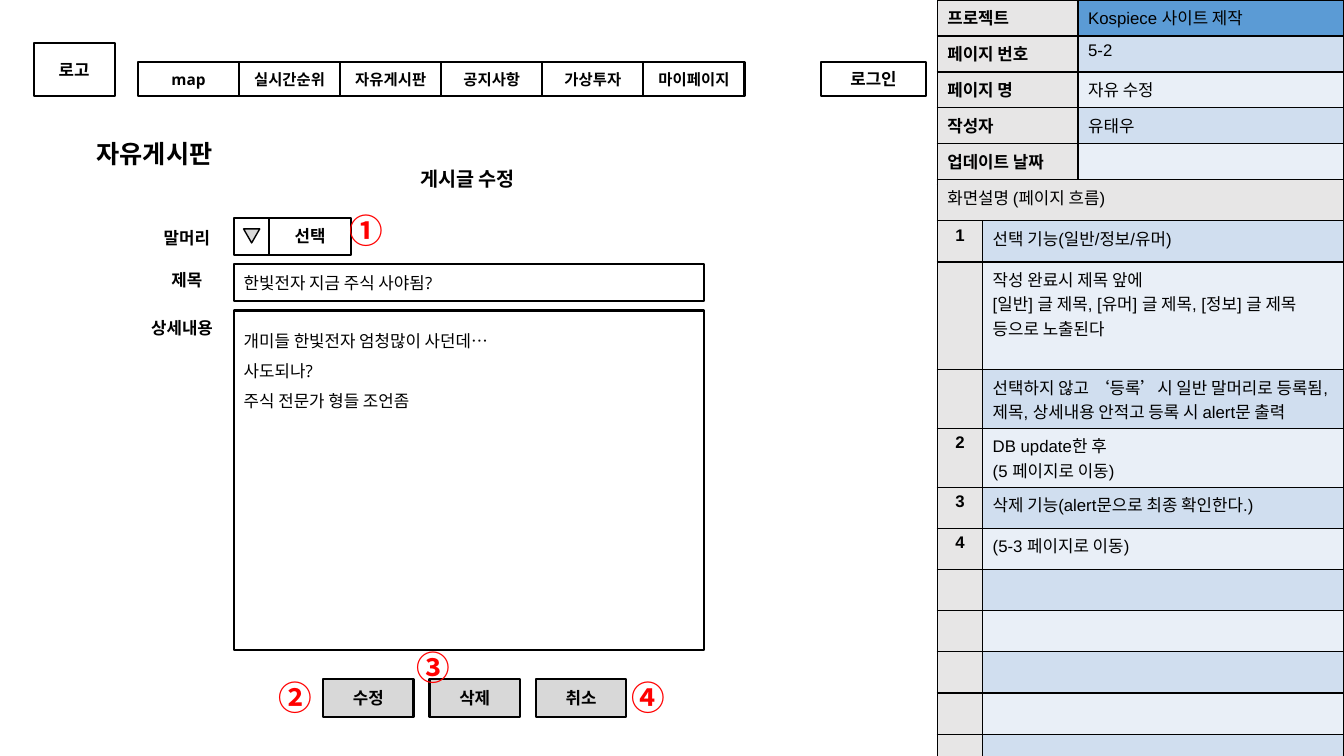
from lxml import etree
from pptx import Presentation
from pptx.dml.color import RGBColor
from pptx.enum import shapes, text
from pptx.oxml import ns
from pptx.util import Pt

BLACK = RGBColor(0, 0, 0)
RED = RGBColor(0xFF, 0, 0)
GRAY = RGBColor(0xD8, 0xD8, 0xD8)
HEAD = RGBColor(0xE7, 0xE6, 0xE6)
BLUE = RGBColor(0x5B, 0x9B, 0xD5)
PALE = RGBColor(0xE9, 0xEF, 0xF7)
MIST = RGBColor(0xD0, 0xDE, 0xEF)

SANS = "Open Sans"
HANGUL = "Noto Sans CJK KR"
LEFT, MID = text.PP_ALIGN.LEFT, text.PP_ALIGN.CENTER
RECT = shapes.MSO_SHAPE.RECTANGLE

FACTS = [
    ("프로젝트", "Kospiece 사이트 제작"),
    ("페이지 번호", "5-2"),
    ("페이지 명", "자유 수정"),
    ("작성자", "유태우"),
    ("업데이트 날짜", ""),
]
NOTES = [
    ("1", "선택 기능(일반/정보/유머)"),
    ("", "작성 완료시 제목 앞에\n[일반] 글 제목, [유머] 글 제목, [정보] 글 제목\n등으로 노출된다"),
    ("", "선택하지 않고 ‘등록’시 일반 말머리로 등록됨,\n제목, 상세내용 안적고 등록 시 alert문 출력"),
    ("2", "DB update한 후\n(5 페이지로 이동)"),
    ("3", "삭제 기능(alert문으로 최종 확인한다.)"),
    ("4", "(5-3 페이지로 이동)"),
] + [("", "")] * 5
MENU = ["map", "실시간순위", "자유게시판", "공지사항", "가상투자", "마이페이지"]


def write(frame, words, size=12, bold=False, align=LEFT, face=SANS,
          color=BLACK, space=None):
    """Put each line of words in its own paragraph."""
    for i, line in enumerate(words.split("\n")):
        par = frame.add_paragraph() if i else frame.paragraphs[0]
        par.alignment = align
        if space:
            par.line_spacing = space
        if not line:
            continue
        run = par.add_run()
        run.text = line
        font = run.font
        font.size, font.bold, font.name = Pt(size), bold, face
        font.color.rgb = color
        east = etree.SubElement(run._r.get_or_add_rPr(), ns.qn("a:ea"))
        east.set("typeface", HANGUL)


def pad(frame, anchor=text.MSO_ANCHOR.MIDDLE, side=7.2, top=7.2):
    frame.word_wrap = True
    frame.auto_size = text.MSO_AUTO_SIZE.NONE
    frame.vertical_anchor = anchor
    frame.margin_left = frame.margin_right = Pt(side)
    frame.margin_top = frame.margin_bottom = Pt(top)


def draw(slide, kind, x, y, w, h, fill=None, line=1.5):
    shape = slide.shapes.add_shape(kind, Pt(x), Pt(y), Pt(w), Pt(h))
    shape.shadow.inherit = False
    if fill is None:
        shape.fill.background()
    else:
        shape.fill.solid()
        shape.fill.fore_color.rgb = fill
    shape.line.color.rgb = BLACK
    shape.line.width = Pt(line)
    return shape


def box(slide, words, x, y, w, h, size=12, fill=None):
    """Outlined wireframe button with a bold centred caption."""
    frame = draw(slide, RECT, x, y, w, h, fill).text_frame
    pad(frame)
    write(frame, words, size, True, MID)


def field(slide, words, y, h, anchor, space=None):
    """Form input with plain left-aligned text."""
    frame = draw(slide, RECT, 167, y, 336, h).text_frame
    pad(frame, anchor)
    write(frame, words, space=space)


def label(slide, words, x, y, w, h, size=12):
    frame = slide.shapes.add_textbox(Pt(x), Pt(y), Pt(w), Pt(h)).text_frame
    pad(frame)
    write(frame, words, size, True, MID)


def badge(slide, sign, x, y):
    """Red circled number that refers to a row of the notes."""
    frame = slide.shapes.add_textbox(Pt(x), Pt(y), Pt(43), Pt(36)).text_frame
    pad(frame, text.MSO_ANCHOR.TOP, top=3.6)
    write(frame, sign, 24, True, face=HANGUL, color=RED)


def title(slide, words):
    shape = slide.shapes.title
    shape.left, shape.top = Pt(45.4), Pt(96.5)
    shape.width, shape.height = Pt(130), Pt(26.6)
    pad(shape.text_frame)
    write(shape.text_frame, words, 18, True, MID)


def paint(cell, fill):
    """Give a cell thin black borders and a solid fill."""
    props = cell._tc.get_or_add_tcPr()
    for side in ("lnL", "lnR", "lnT", "lnB"):
        edge = etree.SubElement(props, ns.qn("a:" + side), w=str(Pt(1)))
        solid = etree.SubElement(edge, ns.qn("a:solidFill"))
        etree.SubElement(solid, ns.qn("a:srgbClr"), val=str(BLACK))
    cell.fill.solid()
    cell.fill.fore_color.rgb = fill


def grid(slide, rows, y, cols, step, align):
    """Two-column table with a grey key column and banded values."""
    frame = slide.shapes.add_table(len(rows), 2, Pt(669.5), Pt(y),
                                   Pt(sum(cols)), Pt(step * len(rows)))
    table = frame.table
    table.first_row = table.horz_banding = False
    for col, width in zip(table.columns, cols):
        col.width = Pt(width)
    for r, (key, value) in enumerate(rows):
        table.rows[r].height = Pt(step)
        band = MIST if r % 2 else PALE
        for c, fill in enumerate((HEAD, band)):
            paint(table.cell(r, c), fill)
        write(table.cell(r, 0).text_frame, key, 12, True, align, "Arial")
        write(table.cell(r, 1).text_frame, value, face="Arial")
    return table


def panel(slide):
    facts = grid(slide, FACTS, 0, (100.6, 190), 25.7, LEFT)
    facts.cell(0, 1).fill.fore_color.rgb = BLUE
    notes = grid(slide, [("", "")] + NOTES, 128.3, (32.4, 258.2), 29.4, MID)
    head = notes.cell(0, 0)
    head.merge(notes.cell(0, 1))
    write(head.text_frame, "화면설명 (페이지 흐름)", face="Arial")


def header(slide):
    box(slide, "로고", 24, 31, 58, 37.4)
    box(slide, "로그인", 586.5, 44.5, 75, 24)
    for i, item in enumerate(MENU):
        box(slide, item, 98.6 + 72.2 * i, 44.5, 72.2, 24, 11)


def form(slide):
    label(slide, "게시글 수정", 269, 114.5, 130, 26.6, 14)
    label(slide, "말머리", 103.5, 155.5, 60, 28.8)
    label(slide, "제목", 103.5, 186.5, 60, 26.6)
    label(slide, "상세내용", 92.6, 221, 75, 26.6)
    draw(slide, RECT, 167, 155.5, 25.2, 26.6)
    box(slide, "선택", 192.2, 155.5, 58.6, 26.6)
    arrow = draw(slide, shapes.MSO_SHAPE.ISOSCELES_TRIANGLE,
                 174, 163.5, 11.5, 10, GRAY, 1)
    arrow.rotation = 180
    field(slide, "한빛전자 지금 주식 사야됨?", 188.4, 26.6,
          text.MSO_ANCHOR.MIDDLE)
    field(slide, "개미들 한빛전자 엄청많이 사던데…\n사도되나?\n주식 전문가 형들 조언좀",
          221.8, 242.6, text.MSO_ANCHOR.TOP, 1.5)
    for i, name in enumerate(("수정", "삭제", "취소")):
        box(slide, name, 230.8 + 76 * i, 485.3, 64.6, 26.6, fill=GRAY)
    for sign, x, y in (("①", 242.6, 146.2), ("②", 192.2, 480.2),
                       ("③", 290.2, 458.6), ("④", 444.2, 480.2)):
        badge(slide, sign, x, y)


def main():
    deck = Presentation()
    deck.slide_width, deck.slide_height = Pt(960), Pt(540)
    slide = deck.slides.add_slide(deck.slide_layouts[5])
    title(slide, "자유게시판")
    panel(slide)
    header(slide)
    form(slide)
    deck.save("out.pptx")


if __name__ == "__main__":
    main()
